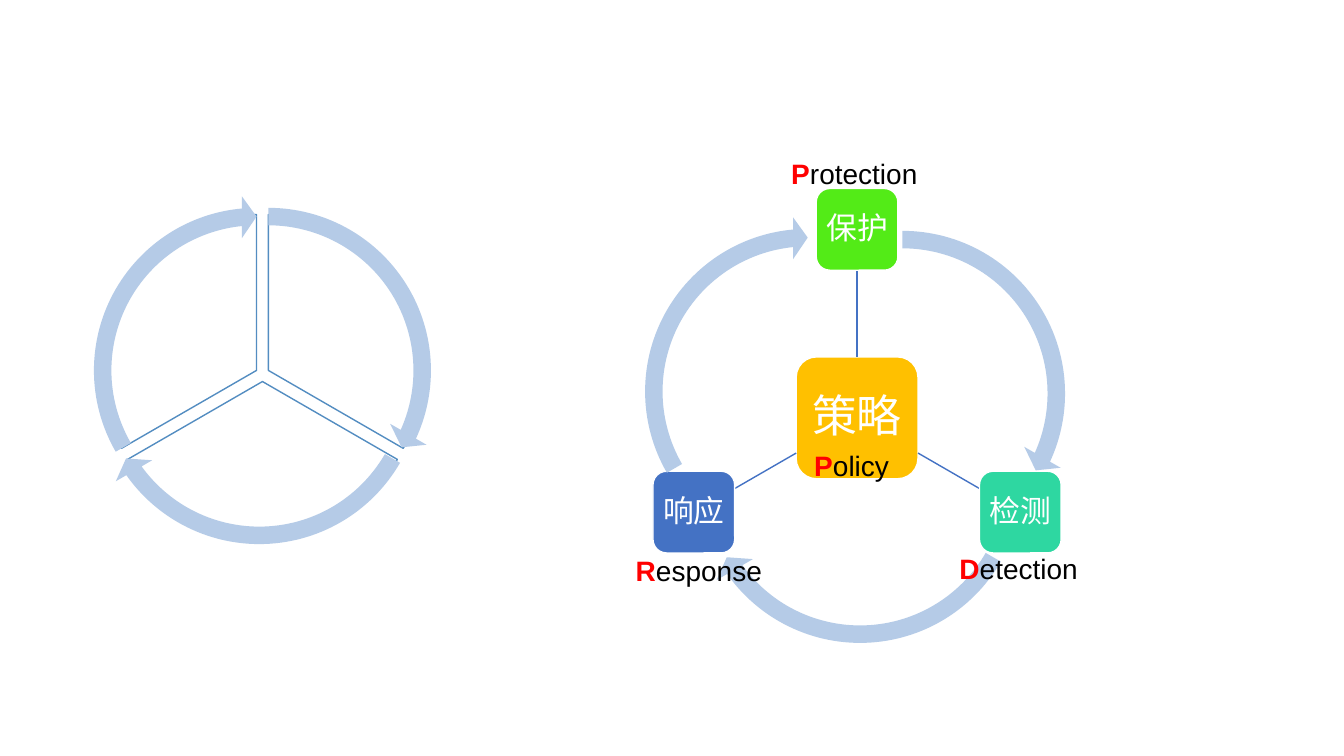
from math import cos, radians, sin, tan
from typing import NamedTuple

from lxml.etree import SubElement
from pptx import Presentation
from pptx.dml.color import RGBColor
from pptx.enum.shapes import MSO_CONNECTOR, MSO_SHAPE
from pptx.enum.text import MSO_ANCHOR, MSO_AUTO_SIZE, PP_ALIGN
from pptx.oxml.ns import qn
from pptx.shapes.autoshape import Shape
from pptx.shapes.connector import Connector
from pptx.slide import Slide
from pptx.util import Cm, Pt

WHITE = RGBColor(0xFF, 0xFF, 0xFF)
BLACK = RGBColor(0x00, 0x00, 0x00)
RED = RGBColor(0xFF, 0x00, 0x00)
BLUE = RGBColor(0x44, 0x72, 0xC4)
PALE_BLUE = RGBColor(0xB5, 0xCB, 0xE7)
PIE_BLUE = RGBColor(0x53, 0x8D, 0xC1)
AMBER = RGBColor(0xFF, 0xC0, 0x00)
GREEN = RGBColor(0x53, 0xEB, 0x17)
TEAL = RGBColor(0x2E, 0xD7, 0xA1)

PIE_SIZE, ARROW_SIZE = 7.85, 8.81
HUB_X, HUB_Y, HUB_SIZE = 21.6, 10.53, 3.07
ORBIT, NODE_SIZE = 4.75, 2.06


class Sector(NamedTuple):
    """A third of the cycle: pie and arrow angles, and where each is placed."""
    pie_angles: tuple[float, float]
    pie_at: tuple[float, float]
    arrow_angles: tuple[float, float]
    arrow_at: tuple[float, float]
    cycle_arrow_at: tuple[float, float]


class Node(NamedTuple):
    text: str
    angle: int
    color: RGBColor


class Label(NamedTuple):
    word: str
    left: float
    top: float
    width: float


# Angles are in units of 100000/60000 degree, as adjustments take them.
SECTORS = [
    Sector((162, 18), (2.84, 5.41), (14.72, 161.99), (2.36, 4.93), (18.34, 5.51)),
    Sector((18, 90), (2.69, 5.69), (86.72, 18), (2.13, 5.21), (17.27, 7.7)),
    Sector((90, 162), (2.54, 5.41), (158.73, 90), (2.06, 4.93), (15.95, 5.46)),
]
NODES = [Node("保护", -90, GREEN), Node("检测", 30, TEAL), Node("响应", 150, BLUE)]
LABELS = [
    Label("Protection", 19.69, 3.81, 4.04),
    Label("Response", 15.77, 13.82, 3.84),
    Label("Detection", 23.93, 13.77, 3.84),
    Label("Policy", 20.27, 11.18, 2.54),
]


def add_square(s: Slide, kind: MSO_SHAPE, at: tuple[float, float], size: float,
               fill: RGBColor, line: RGBColor | None = None) -> Shape:
    """Add a preset shape with equal width and height."""
    sp = s.shapes.add_shape(kind, Cm(at[0]), Cm(at[1]), Cm(size), Cm(size))
    sp.shadow.inherit = False
    sp.fill.solid()
    sp.fill.fore_color.rgb = fill
    if line is None:
        sp.line.fill.background()
    else:
        sp.line.color.rgb = line
        sp.line.width = Pt(1)
    return sp


def add_pie(s: Slide, sector: Sector) -> None:
    sp = add_square(s, MSO_SHAPE.PIE, sector.pie_at, PIE_SIZE, WHITE, PIE_BLUE)
    sp.adjustments[0], sp.adjustments[1] = sector.pie_angles


def add_arrow(s: Slide, angles: tuple[float, float], at: tuple[float, float]) -> None:
    sp = add_square(s, MSO_SHAPE.CIRCULAR_ARROW, at, ARROW_SIZE, PALE_BLUE)
    for i, value in enumerate((0.05, 3.28, *angles, 0.06)):
        sp.adjustments[i] = value


def add_box(s: Slide, text: str, x: float, y: float, size: float,
            color: RGBColor, points: int) -> Shape:
    """Add a rounded box centred on x, y."""
    at = (x - size / 2, y - size / 2)
    sp = add_square(s, MSO_SHAPE.ROUNDED_RECTANGLE, at, size, color, WHITE)
    tf = sp.text_frame
    tf.word_wrap = False
    tf.vertical_anchor = MSO_ANCHOR.MIDDLE
    tf.margin_left = tf.margin_right = tf.margin_top = tf.margin_bottom = Cm(0.15)
    p = tf.paragraphs[0]
    p.text = text
    p.alignment = PP_ALIGN.CENTER
    p.line_spacing = 0.9
    p.font.name = "Calibri"
    p.font.size = Pt(points)
    p.font.color.rgb = WHITE
    return sp


def add_spoke(s: Slide, angle: int) -> Connector:
    """Add a line from the hub's edge to the facing edge of a node."""
    if angle == -90:
        ends = [(0, -HUB_SIZE / 2), (0, NODE_SIZE / 2 - ORBIT)]
    else:
        side = 1 if cos(radians(angle)) > 0 else -1
        reach = ORBIT * cos(radians(30)) - NODE_SIZE / 2
        ends = [(side * dx, dx * tan(radians(30))) for dx in (HUB_SIZE / 2, reach)]
    (x1, y1), (x2, y2) = ends
    line = s.shapes.add_connector(
        MSO_CONNECTOR.STRAIGHT, Cm(HUB_X + x1), Cm(HUB_Y + y1),
        Cm(HUB_X + x2), Cm(HUB_Y + y2))
    line.line.color.rgb = BLUE
    line.line.width = Pt(1)
    SubElement(line._element.spPr, qn("a:effectLst"))
    return line


def add_label(s: Slide, label: Label) -> None:
    """Add a word whose initial is bold red."""
    tf = s.shapes.add_textbox(
        Cm(label.left), Cm(label.top), Cm(label.width), Cm(1.12)).text_frame
    tf.word_wrap = False
    tf.auto_size = MSO_AUTO_SIZE.SHAPE_TO_FIT_TEXT
    p = tf.paragraphs[0]
    p.font.name = "Arial"
    p.font.size = Pt(20)
    for text, color, bold in ((label.word[0], RED, True), (label.word[1:], BLACK, False)):
        r = p.add_run()
        r.text = text
        r.font.bold = bold
        r.font.color.rgb = color


def main() -> None:
    prs = Presentation()
    prs.slide_width, prs.slide_height = Cm(33.87), Cm(19.05)
    s = prs.slides.add_slide(prs.slide_layouts[6])

    for sector in SECTORS:
        add_pie(s, sector)
    for sector in SECTORS:
        add_arrow(s, sector.arrow_angles, sector.arrow_at)

    hub = add_box(s, "策略", HUB_X, HUB_Y, HUB_SIZE, AMBER, 32)
    for node in NODES:
        spoke = add_spoke(s, node.angle)
        x = HUB_X + ORBIT * cos(radians(node.angle))
        y = HUB_Y + ORBIT * sin(radians(node.angle))
        box = add_box(s, node.text, x, y, NODE_SIZE, node.color, 22)
        if node.angle == -90:
            spoke.begin_connect(hub, 0)
            spoke.end_connect(box, 2)

    for sector in reversed(SECTORS):
        add_arrow(s, sector.arrow_angles, sector.cycle_arrow_at)
    for label in LABELS:
        add_label(s, label)

    prs.save("out.pptx")


if __name__ == "__main__":
    main()
